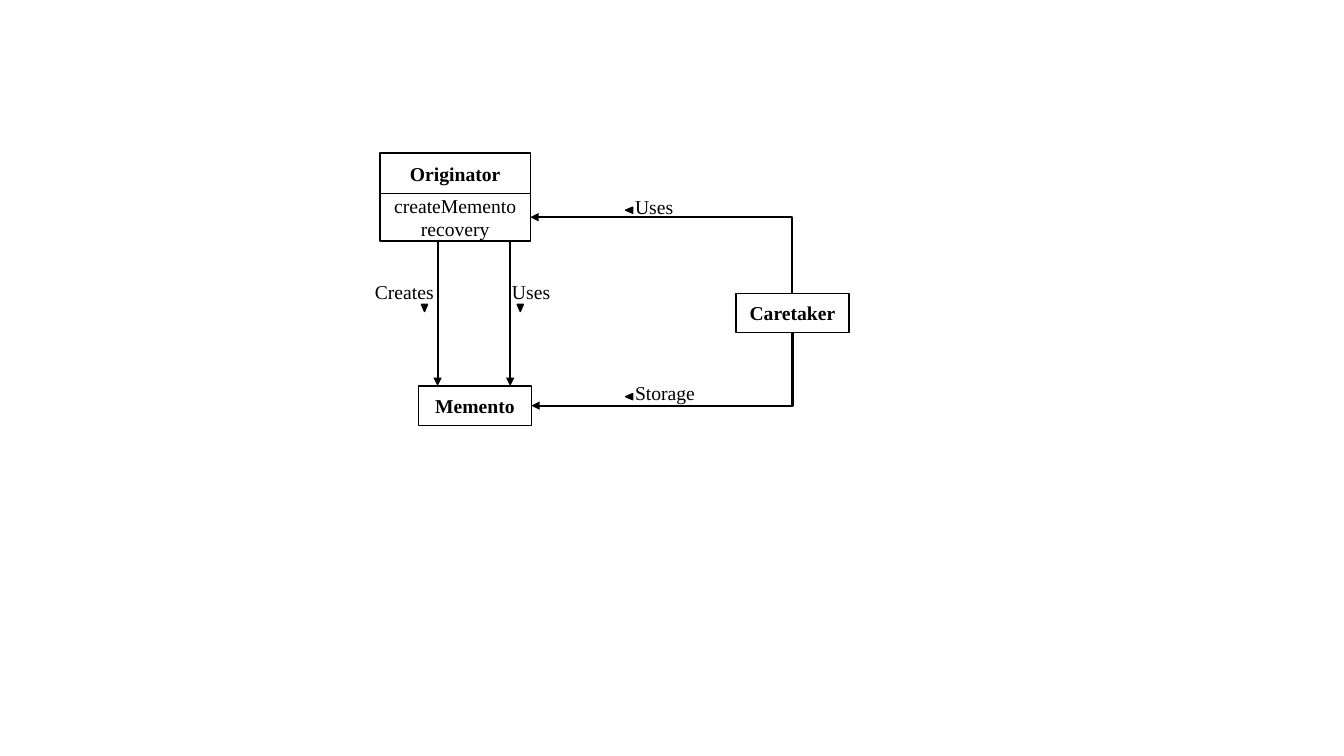
from typing import NamedTuple

from pptx import Presentation
from pptx.dml.color import RGBColor
from pptx.enum.shapes import MSO_CONNECTOR, MSO_SHAPE
from pptx.enum.text import MSO_ANCHOR, MSO_AUTO_SIZE, PP_ALIGN
from pptx.oxml.ns import qn
from pptx.oxml.xmlchemy import OxmlElement
from pptx.shapes.autoshape import Shape
from pptx.shapes.connector import Connector
from pptx.util import Inches, Pt

BLACK = RGBColor(0x00, 0x00, 0x00)
WHITE = RGBColor(0xFF, 0xFF, 0xFF)
FONT = "Times New Roman"
RECT, TRIANGLE = MSO_SHAPE.RECTANGLE, MSO_SHAPE.ISOSCELES_TRIANGLE
STRAIGHT, ELBOW = MSO_CONNECTOR.STRAIGHT, MSO_CONNECTOR.ELBOW
CENTER, LEFT = PP_ALIGN.CENTER, PP_ALIGN.LEFT
TOP, RIGHT, BOTTOM = 0, 3, 2
DOWN, LEFTWARD = 180, 270


class Box(NamedTuple):
    x: float
    y: float
    w: float
    h: float
    lines: list[str]
    bold: bool = True


class Label(NamedTuple):
    text: str
    x: float
    y: float
    marker_x: float
    marker_y: float
    direction: int


ORIGINATOR = Box(3.77, 1.52, 1.49, 0.4, ["Originator"])
OPERATIONS = Box(3.77, 1.92, 1.49, 0.47, ["createMemento", "recovery"], False)
MEMENTO = Box(4.15, 3.83, 1.12, 0.39, ["Memento"])
CARETAKER = Box(7.3, 2.91, 1.12, 0.39, ["Caretaker"])
LABELS = [
    Label("Creates", 3.62, 2.73, 4.18, 3.02, DOWN),
    Label("Uses", 4.98, 2.73, 5.13, 3.02, DOWN),
    Label("Uses", 6.2, 1.88, 6.21, 2.05, LEFTWARD),
    Label("Storage", 6.2, 3.73, 6.21, 3.9, LEFTWARD),
]
DOWN_ARROW_XS = [4.34, 5.06]


def add_lines(shape: Shape, lines: list[str], align: PP_ALIGN, bold: bool) -> None:
    tf = shape.text_frame
    tf.word_wrap = True
    for i, line in enumerate(lines):
        p = tf.paragraphs[0] if i == 0 else tf.add_paragraph()
        p.alignment = align
        r = p.add_run()
        r.text = line
        r.font.name, r.font.size, r.font.bold = FONT, Pt(14), bold
        r.font.color.rgb = BLACK


def add_outlined(shapes, kind: MSO_SHAPE, x: float, y: float, w: float, h: float,
                 fill: RGBColor) -> Shape:
    sp = shapes.add_shape(kind, Inches(x), Inches(y), Inches(w), Inches(h))
    sp.shadow.inherit = False
    sp.fill.solid()
    sp.fill.fore_color.rgb = fill
    sp.line.color.rgb = BLACK
    sp.line.width = Pt(1)
    return sp


def add_box(shapes, box: Box) -> Shape:
    sp = add_outlined(shapes, RECT, box.x, box.y, box.w, box.h, WHITE)
    sp.text_frame.vertical_anchor = MSO_ANCHOR.MIDDLE
    add_lines(sp, box.lines, CENTER, box.bold)
    return sp


def add_label(shapes, label: Label) -> None:
    tb = shapes.add_textbox(Inches(label.x), Inches(label.y), Inches(1.13), Inches(0.34))
    add_lines(tb, [label.text], LEFT, False)
    tb.text_frame.auto_size = MSO_AUTO_SIZE.SHAPE_TO_FIT_TEXT
    marker = add_outlined(shapes, TRIANGLE, label.marker_x, label.marker_y, 0.06, 0.07, BLACK)
    marker.rotation = label.direction


def style_arrow(cxn: Connector, end_tag: str) -> None:
    cxn.line.color.rgb = BLACK
    cxn.line.width = Pt(1.5)
    end = OxmlElement(end_tag)
    end.set("type", "triangle")
    cxn.line._get_or_add_ln().append(end)
    cxn._element.spPr.append(OxmlElement("a:effectLst"))


def add_down_arrow(shapes, x: float) -> None:
    top = OPERATIONS.y + OPERATIONS.h
    cxn = shapes.add_connector(STRAIGHT, Inches(x), Inches(top), Inches(x), Inches(MEMENTO.y))
    style_arrow(cxn, "a:tailEnd")


def add_elbow_arrow(shapes, target: Shape, caretaker: Shape, side: int) -> None:
    cxn = shapes.add_connector(ELBOW, 0, 0, 0, 0)
    cxn.begin_connect(target, RIGHT)
    cxn.end_connect(caretaker, side)
    # One bend: horizontal from the target, then vertical to the caretaker
    cxn._element.spPr.find(qn("a:prstGeom")).set("prst", "bentConnector2")
    style_arrow(cxn, "a:headEnd")


def main() -> None:
    prs = Presentation()
    prs.slide_width, prs.slide_height = Inches(13.33), Inches(7.5)
    s = prs.slides.add_slide(prs.slide_layouts[6])

    # Classes
    memento = add_box(s.shapes, MEMENTO)
    originator = s.shapes.add_group_shape()
    add_box(originator.shapes, ORIGINATOR)
    operations = add_box(originator.shapes, OPERATIONS)

    # Originator to memento
    for x in DOWN_ARROW_XS:
        add_down_arrow(s.shapes, x)

    # Relation names with direction markers
    for label in LABELS:
        add_label(s.shapes, label)

    # Caretaker and its relations
    caretaker = add_box(s.shapes, CARETAKER)
    add_elbow_arrow(s.shapes, memento, caretaker, BOTTOM)
    add_elbow_arrow(s.shapes, operations, caretaker, TOP)

    prs.save("out.pptx")


if __name__ == "__main__":
    main()
